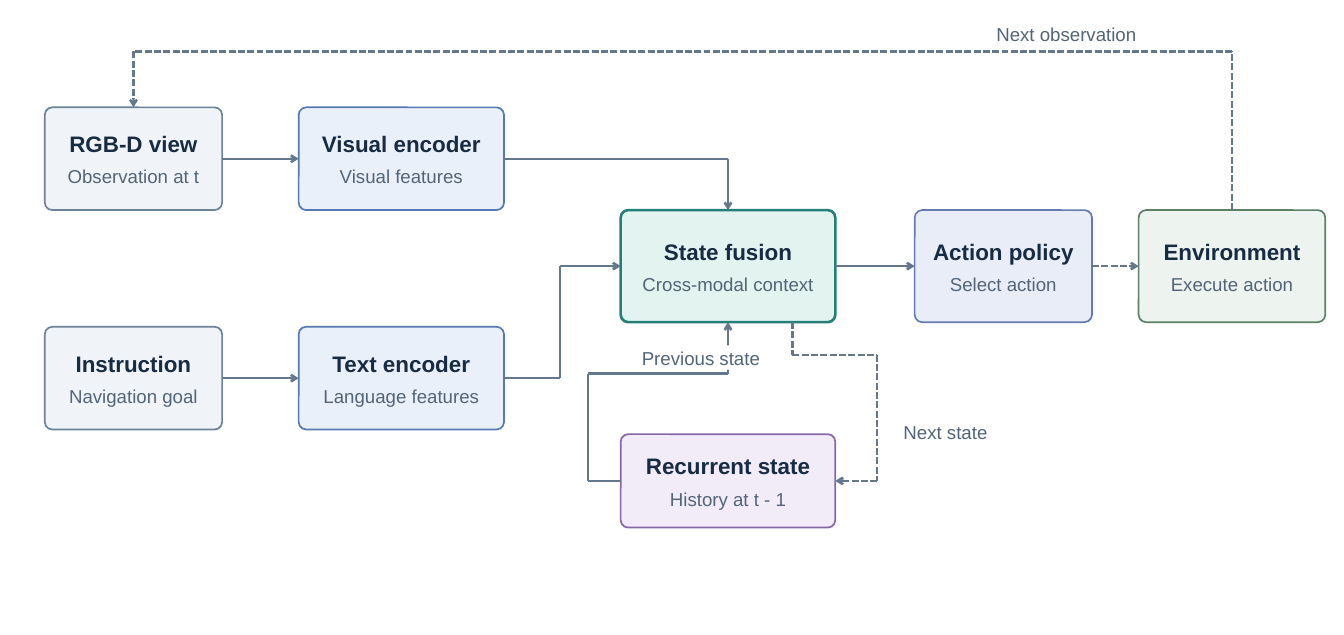
"""Build the navigation agent architecture slide."""
import lxml.etree
import pptx
import pptx.dml.color
import pptx.enum.dml
import pptx.enum.shapes
import pptx.enum.text
import pptx.oxml.ns
import pptx.util

PX = 9525
THEME = {
    "font": "Arial", "title": "172B42", "muted": "526477", "flow": "65788B", "paper": "FFFFFF",
    "title_pt": 18, "muted_pt": 15, "flow_pt": 1.88, "edge_pt": 1.35, "strong_pt": 2.1,
    "input": ("F0F4F8", "6B8299"), "encoder": ("EAF0FA", "5579B0"),
    "fusion": ("E2F3F0", "237F78"), "memory": ("F1ECF8", "8568AA"),
    "policy": ("E9EDF8", "657BB0"), "world": ("EDF3EE", "5C8167"),
}
TOP, LEFT, BOTTOM, RIGHT = range(4)
RADIUS, PAD = 8, 14

NODES = [
    ("RGB-D view", "Observation at t", "input", 48, 115, 190, 110),
    ("Visual encoder", "Visual features", "encoder", 320, 115, 220, 110),
    ("Instruction", "Navigation goal", "input", 48, 350, 190, 110),
    ("Text encoder", "Language features", "encoder", 320, 350, 220, 110),
    ("State fusion", "Cross-modal context", "fusion", 665, 225, 230, 120),
    ("Recurrent state", "History at t - 1", "memory", 665, 465, 230, 100),
    ("Action policy", "Select action", "policy", 980, 225, 190, 120),
    ("Environment", "Execute action", "world", 1220, 225, 200, 120),
]
ROUTES = [
    (("RGB-D view", RIGHT), [(238, 170), (320, 170)], ("Visual encoder", LEFT), False),
    (("Visual encoder", RIGHT), [(540, 170), (780, 170), (780, 225)], ("State fusion", TOP), False),
    (("Instruction", RIGHT), [(238, 405), (320, 405)], ("Text encoder", LEFT), False),
    (("Text encoder", RIGHT), [(540, 405), (600, 405), (600, 285), (665, 285)],
     ("State fusion", LEFT), False),
    (("Recurrent state", LEFT), [(665, 515), (630, 515), (630, 400), (780, 400), (780, 345)],
     ("State fusion", BOTTOM), False),
    (None, [(849, 345), (849, 380), (940, 380), (940, 515), (895, 515)],
     ("Recurrent state", RIGHT), True),
    (("State fusion", RIGHT), [(895, 285), (980, 285)], ("Action policy", LEFT), False),
    (("Action policy", RIGHT), [(1170, 285), (1220, 285)], ("Environment", LEFT), True),
    (("Environment", TOP), [(1320, 225), (1320, 55), (143, 55), (143, 115)],
     ("RGB-D view", TOP), True),
]
LABELS = [
    ("Previous state", 680, 370, 142, 26),
    ("Next state", 960, 450, 106, 26),
    ("Next observation", 1060, 24, 165, 26),
]


def rgb(value):
    return pptx.dml.color.RGBColor.from_string(value)


def write(sp, text, style):
    tf = sp.text_frame
    tf.margin_left = tf.margin_right = tf.margin_top = tf.margin_bottom = 0
    tf.word_wrap = False
    tf.vertical_anchor = pptx.enum.text.MSO_ANCHOR.MIDDLE
    p = tf.paragraphs[0]
    p.alignment = pptx.enum.text.PP_ALIGN.CENTER
    r = p.add_run()
    r.text = text
    r.font.name = THEME["font"]
    r.font.size = pptx.util.Pt(THEME[style + "_pt"])
    r.font.bold = style == "title"
    r.font.color.rgb = rgb(THEME[style])


prs = pptx.Presentation()
prs.slide_width, prs.slide_height = 1440 * PX, 680 * PX
s = prs.slides.add_slide(prs.slide_layouts[6])
s.background.fill.solid()
s.background.fill.fore_color.rgb = rgb(THEME["paper"])

nodes = {}
for title, detail, kind, x, y, w, h in NODES:
    sp = s.shapes.add_shape(pptx.enum.shapes.MSO_SHAPE.ROUNDED_RECTANGLE,
                            x * PX, y * PX, w * PX, h * PX)
    sp.adjustments[0] = RADIUS / min(w, h)
    sp.shadow.inherit = False
    fill, edge = THEME[kind]
    sp.fill.solid()
    sp.fill.fore_color.rgb = rgb(fill)
    sp.line.color.rgb = rgb(edge)
    sp.line.width = pptx.util.Pt(THEME["strong_pt" if kind == "fusion" else "edge_pt"])
    nodes[title] = sp
    middle = y + h // 2
    for text, style, top, height in ((title, "title", middle - 30, 28),
                                     (detail, "muted", middle + 7, 24)):
        box = s.shapes.add_textbox((x + PAD) * PX, top * PX, (w - 2 * PAD) * PX, height * PX)
        write(box, text, style)

for start, points, end, dashed in ROUTES:
    legs = []
    for (x1, y1), (x2, y2) in zip(points, points[1:]):
        leg = s.shapes.add_connector(pptx.enum.shapes.MSO_CONNECTOR.STRAIGHT,
                                     x1 * PX, y1 * PX, x2 * PX, y2 * PX)
        leg.line.color.rgb = rgb(THEME["flow"])
        leg.line.width = pptx.util.Pt(THEME["flow_pt"])
        if dashed:
            leg.line.dash_style = pptx.enum.dml.MSO_LINE.SQUARE_DOT
        lxml.etree.SubElement(leg._element.spPr, pptx.oxml.ns.qn("a:effectLst"))
        legs.append(leg)
    if start:
        legs[0].begin_connect(nodes[start[0]], start[1])
    legs[-1].end_connect(nodes[end[0]], end[1])
    lxml.etree.SubElement(legs[-1].line._get_or_add_ln(), pptx.oxml.ns.qn("a:tailEnd"), type="arrow")

for text, x, y, w, h in LABELS:
    sp = s.shapes.add_shape(pptx.enum.shapes.MSO_SHAPE.RECTANGLE, x * PX, y * PX, w * PX, h * PX)
    sp.shadow.inherit = False
    sp.fill.solid()
    sp.fill.fore_color.rgb = rgb(THEME["paper"])
    sp.line.fill.background()
    write(sp, text, "muted")

prs.save("out.pptx")
